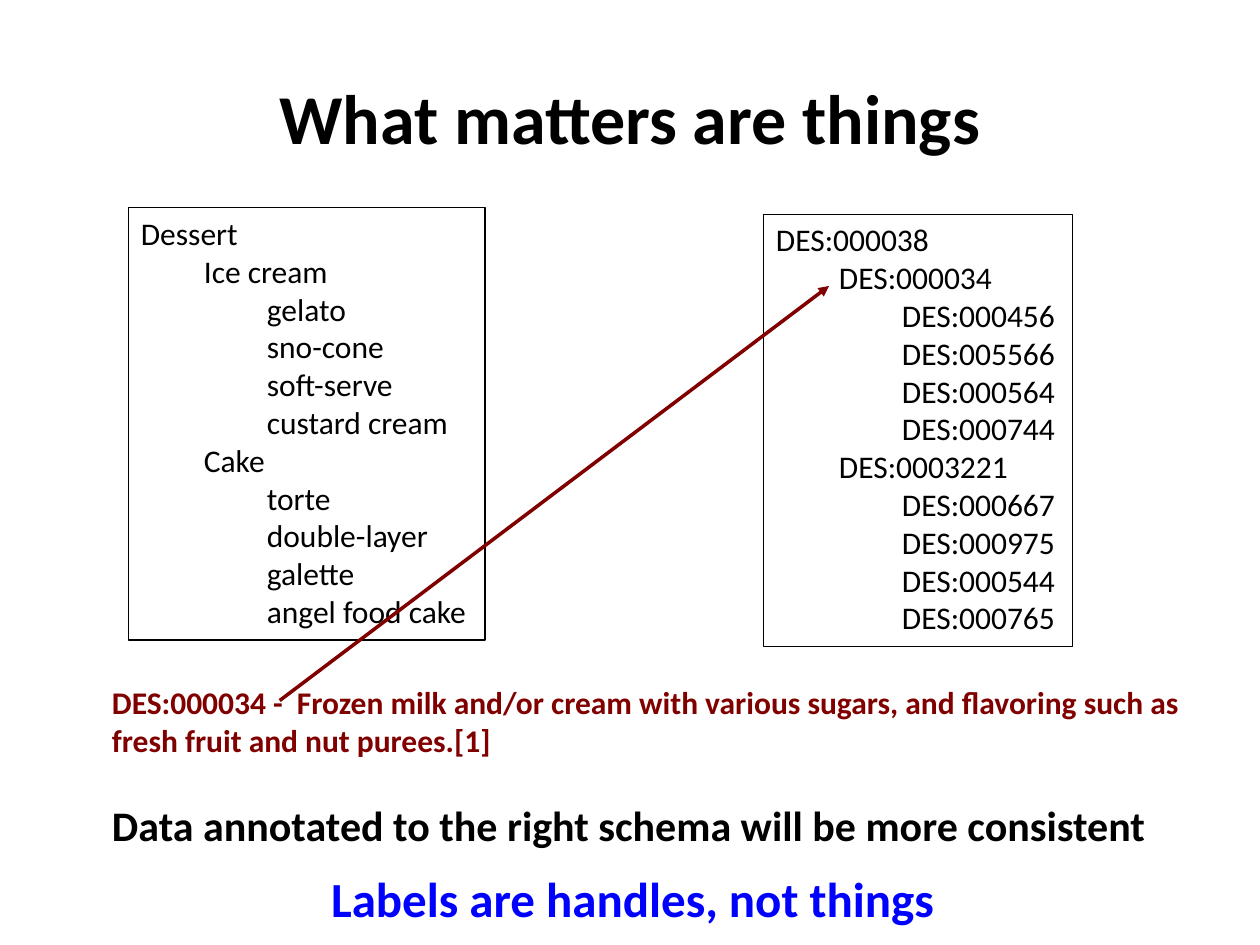
from dataclasses import dataclass

from lxml.etree import SubElement
from pptx import Presentation
from pptx.dml.color import RGBColor
from pptx.enum.shapes import MSO_CONNECTOR
from pptx.enum.text import MSO_ANCHOR, PP_ALIGN
from pptx.oxml.ns import qn
from pptx.util import Inches, Pt


@dataclass(frozen=True)
class Theme:
    font: str = "Calibri"
    ink: str = "000000"
    accent: str = "800000"
    highlight: str = "0000FF"
    title: int = 40
    closing: int = 28
    message: int = 24
    body: int = 18
    indent: float = 0.5


THEME = Theme()

# Each entry is (indent level, term, identifier).
DESSERTS = [
    (0, "Dessert", "DES:000038"),
    (1, "Ice cream", "DES:000034"),
    (2, "gelato", "DES:000456"),
    (2, "sno-cone", "DES:005566"),
    (2, "soft-serve", "DES:000564"),
    (2, "custard cream", "DES:000744"),
    (1, "Cake", "DES:0003221"),
    (2, "torte", "DES:000667"),
    (2, "double-layer", "DES:000975"),
    (2, "galette", "DES:000544"),
    (2, "angel food cake", "DES:000765"),
]
DEFINITION = (
    "DES:000034 -  Frozen milk and/or cream with various sugars, "
    "and flavoring such as fresh fruit and nut purees.[1]"
)


def write(p, text, size=THEME.body, color=THEME.ink, bold=False,
          align=PP_ALIGN.LEFT, level=0):
    p.alignment = align
    if level:
        pPr = p._p.get_or_add_pPr()
        pPr.set("marL", str(Inches(level * THEME.indent)))
        pPr.set("indent", "0")
    r = p.add_run()
    r.text = text
    r.font.name = THEME.font
    r.font.size = Pt(size)
    r.font.bold = bold
    r.font.color.rgb = RGBColor.from_string(color)


def add_title(slide, text, box):
    sp = slide.shapes.title
    sp.left, sp.top, sp.width, sp.height = map(Inches, box)
    sp.text_frame.vertical_anchor = MSO_ANCHOR.MIDDLE
    write(sp.text_frame.paragraphs[0], text, size=THEME.title, bold=True,
          align=PP_ALIGN.CENTER)


def add_text(slide, text, box, wrap=False, **style):
    sp = slide.shapes.add_textbox(*map(Inches, box))
    sp.text_frame.word_wrap = wrap
    write(sp.text_frame.paragraphs[0], text, **style)


def add_tree(slide, entries, box):
    """Draw an outlined box that lists (level, text) entries."""
    sp = slide.shapes.add_textbox(*map(Inches, box))
    sp.line.color.rgb = RGBColor.from_string(THEME.ink)
    sp.line.width = Pt(0.75)
    tf = sp.text_frame
    tf.word_wrap = False
    for i, (level, text) in enumerate(entries):
        p = tf.add_paragraph() if i else tf.paragraphs[0]
        write(p, text, level=level)


def add_arrow(slide, start, end):
    line = slide.shapes.add_connector(
        MSO_CONNECTOR.STRAIGHT, *map(Inches, (*start, *end)))
    line.line.color.rgb = RGBColor.from_string(THEME.accent)
    line.line.width = Pt(2)
    SubElement(line.line._get_or_add_ln(), qn("a:tailEnd"), type="triangle")
    SubElement(line._element.spPr, qn("a:effectLst"))


def main():
    prs = Presentation()
    prs.slide_width, prs.slide_height = Inches(10), Inches(7.5)
    slide = prs.slides.add_slide(prs.slide_layouts[5])

    add_title(slide, "What matters are things", (0.5, 0.3, 9, 1.25))
    add_text(slide, "Data annotated to the right schema will be more consistent",
             (0.79, 6.3, 8.52, 0.5), size=THEME.message, bold=True)
    add_tree(slide, [(level, term) for level, term, _ in DESSERTS],
             (1.02, 1.65, 2.83, 3.43))
    add_tree(slide, [(level, code) for level, _, code in DESSERTS],
             (6.06, 1.7, 2.45, 3.43))
    add_text(slide, DEFINITION, (0.79, 5.37, 8.93, 1.01), wrap=True,
             color=THEME.accent, bold=True)
    add_text(slide, "Labels are handles, not things", (2.53, 6.84, 5.04, 0.57),
             size=THEME.closing, color=THEME.highlight, bold=True)
    add_arrow(slide, (2.22, 5.56), (6.58, 2.27))

    prs.save("out.pptx")


if __name__ == "__main__":
    main()
